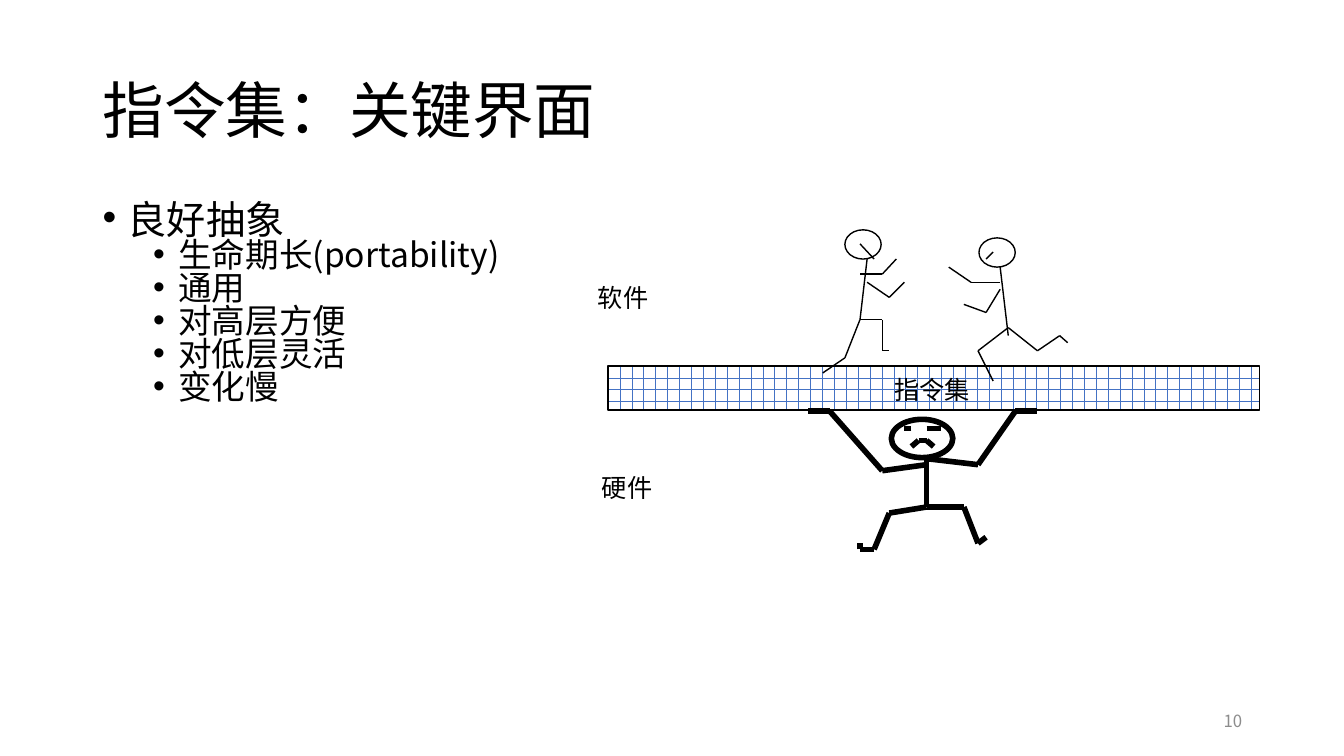
from dataclasses import dataclass

from lxml import etree
from pptx import Presentation
from pptx.dml.color import RGBColor
from pptx.enum.dml import MSO_PATTERN
from pptx.enum.shapes import MSO_CONNECTOR, MSO_SHAPE
from pptx.enum.text import MSO_ANCHOR, PP_ALIGN
from pptx.oxml.ns import qn
from pptx.util import Inches, Pt

FONT = "Noto Sans CJK SC"
BLACK, WHITE, BLUE, GRAY = "000000", "FFFFFF", "4472C4", "8C8C8C"
Point = tuple[float, float]
Box = tuple[float, float, float, float]


@dataclass
class Figure:
    head: Box
    weight: float
    limbs: list[list[Point]]


@dataclass
class Label:
    text: str
    box: Box
    size: float
    spacing: float = 1.0
    color: str = BLACK
    inset: tuple[float, float] = (0.1, 0.05)
    wrap: bool = True
    anchor: MSO_ANCHOR = MSO_ANCHOR.TOP
    align: PP_ALIGN = PP_ALIGN.LEFT


def rgb(color: str) -> RGBColor:
    return RGBColor.from_string(color)


def inches(values):
    return [Inches(v) for v in values]


def add_run(p, text: str, size: float, color: str = BLACK) -> None:
    r = p.add_run()
    r.text = text
    r.font.size = Pt(size)
    r.font.color.rgb = rgb(color)
    r.font.name = FONT
    etree.SubElement(r.font._element, qn("a:ea"), typeface=FONT)


def add_text_frame(slide, label: Label):
    tf = slide.shapes.add_textbox(*inches(label.box)).text_frame
    tf.word_wrap = label.wrap
    tf.vertical_anchor = label.anchor
    tf.margin_left = tf.margin_right = Inches(label.inset[0])
    tf.margin_top = tf.margin_bottom = Inches(label.inset[1])
    p = tf.paragraphs[0]
    p.alignment = label.align
    p.line_spacing = label.spacing
    add_run(p, label.text, label.size, label.color)
    return tf


def set_bullet(p, left: float) -> None:
    pPr = p._p.get_or_add_pPr()
    pPr.set("marL", str(Inches(left)))
    pPr.set("indent", str(Inches(-0.25)))
    etree.SubElement(pPr, qn("a:buFont"), typeface="Arial")
    etree.SubElement(pPr, qn("a:buChar"), char="•")


def add_outlined(slide, kind: MSO_SHAPE, box: Box, weight: float):
    sp = slide.shapes.add_shape(kind, *inches(box))
    sp.shadow.inherit = False
    sp.fill.background()
    sp.line.color.rgb = rgb(BLACK)
    sp.line.width = Pt(weight)
    return sp


def add_limb(slide, points: list[Point], weight: float) -> None:
    for start, end in zip(points, points[1:]):
        line = slide.shapes.add_connector(
            MSO_CONNECTOR.STRAIGHT, *inches(start + end))
        line.line.color.rgb = rgb(BLACK)
        line.line.width = Pt(weight)
        etree.SubElement(line._element.spPr, qn("a:effectLst"))


def add_figure(slide, figure: Figure) -> None:
    add_outlined(slide, MSO_SHAPE.OVAL, figure.head, figure.weight)
    for limb in figure.limbs:
        add_limb(slide, limb, figure.weight)


FIGURES = [
    # Left fighter: body and leg, other leg, arms, face
    Figure((8.38, 2.28, 0.36, 0.29), 1, [
        [(8.6, 2.57), (8.53, 3.17), (8.75, 3.17), (8.75, 3.48), (8.82, 3.48)],
        [(8.53, 3.17), (8.38, 3.55), (8.16, 3.7)],
        [(8.6, 2.8), (8.82, 2.95), (8.97, 2.8)],
        [(8.53, 2.72), (8.75, 2.72), (8.89, 2.57)],
        [(8.67, 2.57), (8.53, 2.42)],
    ]),
    # Right fighter: body, legs, arms, face
    Figure((9.71, 2.36, 0.36, 0.29), 1, [
        [(9.92, 2.65), (10, 3.33)],
        [(10, 3.25), (9.7, 3.48), (9.85, 3.78)],
        [(10, 3.25), (10.29, 3.48), (10.51, 3.33), (10.59, 3.4)],
        [(9.92, 2.87), (9.78, 3.1), (9.56, 3.02)],
        [(9.92, 2.8), (9.63, 2.8), (9.41, 2.65)],
        [(9.78, 2.57), (9.85, 2.5)],
    ]),
    # Carrier: mouth, eyes, body and legs, arms
    Figure((8.84, 4.16, 0.61, 0.38), 4, [
        [(9.04, 4.43), (9.11, 4.37), (9.19, 4.37), (9.26, 4.43)],
        [(9.19, 4.25), (9.33, 4.25)],
        [(9.04, 4.25), (8.97, 4.25)],
        [(9.19, 4.55), (9.19, 5.03), (9.56, 5.03), (9.7, 5.39), (9.78, 5.33)],
        [(9.19, 5.03), (8.82, 5.09), (8.67, 5.45), (8.53, 5.45), (8.53, 5.39)],
        [(9.19, 4.55), (9.7, 4.61), (10.07, 4.08), (10.29, 4.08)],
        [(9.19, 4.61), (8.75, 4.67), (8.23, 4.08), (8.01, 4.08)],
    ]),
]

TIGHT = (0.07, 0.03)
LABELS = [
    Label("指令集", (8.8, 3.71, 0.9, 0.33), 18, 0.92, inset=TIGHT, wrap=False),
    Label("软件", (5.86, 2.82, 0.65, 0.31), 18, 0.85, inset=TIGHT, wrap=False),
    Label("硬件", (5.9, 4.7, 0.65, 0.31), 18, 0.85, inset=TIGHT, wrap=False),
    Label("指令集：关键界面", (0.92, 0.4, 11.5, 1.45), 44, 0.9,
          anchor=MSO_ANCHOR.MIDDLE),
    Label("10", (9.42, 6.95, 3, 0.4), 12, color=GRAY,
          anchor=MSO_ANCHOR.MIDDLE, align=PP_ALIGN.RIGHT),
]
BODY = Label("良好抽象", (0.92, 2, 11.5, 4.76), 28, 0.73)
QUALITIES = ["生命期长(portability)", "通用", "对高层方便", "对低层灵活", "变化慢"]


def main() -> None:
    prs = Presentation()
    prs.slide_width, prs.slide_height = Inches(13.33), Inches(7.5)
    slide = prs.slides.add_slide(prs.slide_layouts[6])

    # Instruction set bar
    bar = add_outlined(slide, MSO_SHAPE.RECTANGLE, (6.03, 3.63, 6.46, 0.44), 1)
    bar.fill.patterned()
    bar.fill.pattern = MSO_PATTERN.HORIZONTAL_BRICK
    bar.fill.fore_color.rgb = rgb(BLUE)
    bar.fill.back_color.rgb = rgb(WHITE)

    # Stick figures
    for figure in FIGURES:
        add_figure(slide, figure)

    # Title, labels and page number
    for label in LABELS:
        add_text_frame(slide, label)

    # Bulleted list
    tf = add_text_frame(slide, BODY)
    set_bullet(tf.paragraphs[0], 0.25)
    for quality in QUALITIES:
        p = tf.add_paragraph()
        p.level = 1
        set_bullet(p, 0.75)
        p.line_spacing = BODY.spacing
        p.space_before = Pt(2.5)
        add_run(p, quality, 24)

    prs.save("out.pptx")


if __name__ == "__main__":
    main()
